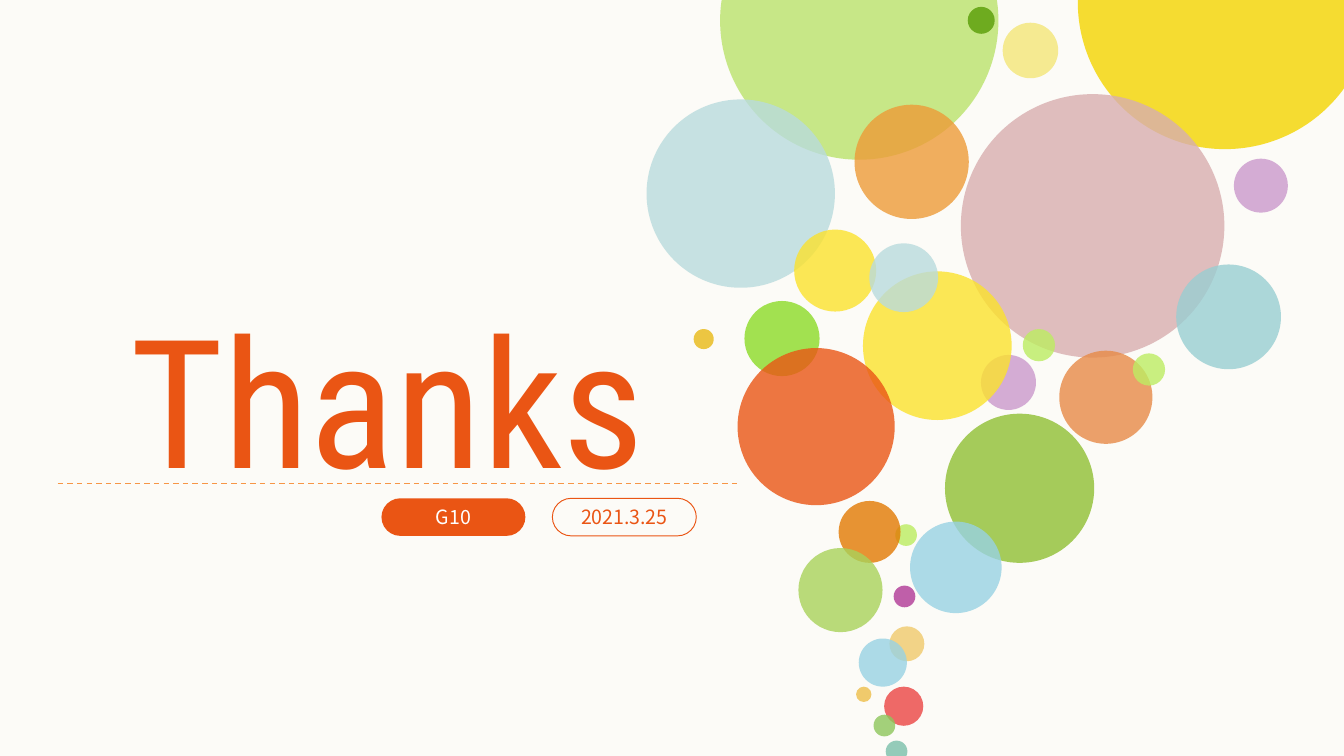
"""Build a closing slide with a column of translucent bubbles."""
from lxml import etree
from pptx import Presentation
from pptx.dml.color import RGBColor
from pptx.enum.dml import MSO_LINE
from pptx.enum.shapes import MSO_CONNECTOR, MSO_SHAPE
from pptx.enum.text import MSO_ANCHOR, MSO_AUTO_SIZE, PP_ALIGN
from pptx.oxml.ns import qn
from pptx.util import Cm, Pt

OVAL, PILL = MSO_SHAPE.OVAL, MSO_SHAPE.ROUNDED_RECTANGLE
STRAIGHT, DASH = MSO_CONNECTOR.STRAIGHT, MSO_LINE.DASH
LEFT, CENTER = PP_ALIGN.LEFT, PP_ALIGN.CENTER
TOP, MIDDLE = MSO_ANCHOR.TOP, MSO_ANCHOR.MIDDLE
GROW = MSO_AUTO_SIZE.SHAPE_TO_FIT_TEXT

ACCENT, WHITE, BACKGROUND, RULE = "EA5514", "FFFFFF", "FCFBF7", "F79646"
TITLE_FONT, LABEL_FONT = "Roboto Condensed", "Noto Sans CJK SC"
OPACITY = 80
TITLE = "Thanks"
TITLE_BOX = (2.46, 5.46, 10.13, 4.11)
RULE_ENDS = (1.09, 9.14, 13.94, 9.14)
PILL_BOX, PILL_PITCH = (7.21, 9.42, 2.72, 0.71), 3.23
LABELS = [("G10", True), ("2021.3.25", False)]
SOLID_BUBBLES = {"6EAB1F", "F5EA91", "A5CB5A", "F0CA6C"}
BUBBLES = [
    (13.61, -2.24, 5.26, "BAE36B", OPACITY),
    (18.29, 0.13, 0.51, "6EAB1F", 100),
    (12.22, 1.88, 3.56, "B9DBDD", OPACITY),
    (16.15, 1.98, 2.16, "ED9B38", OPACITY),
    (18.95, 0.43, 1.05, "F5EA91", 100),
    (20.37, -2.74, 5.56, "F4D500", OPACITY),
    (18.16, 1.78, 4.98, "D8AEAF", OPACITY),
    (22.23, 5.0, 1.98, "99CED2", OPACITY),
    (23.32, 3.0, 1.02, "CB99CC", OPACITY),
    (20.02, 6.63, 1.76, "E78A47", OPACITY),
    (17.86, 7.82, 2.82, "A5CB5A", 100),
    (21.41, 6.68, 0.61, "BDED63", OPACITY),
    (19.33, 6.22, 0.61, "BCED61", OPACITY),
    (18.54, 6.71, 1.04, "CB99CC", OPACITY),
    (16.31, 5.13, 2.81, "FBE22D", OPACITY),
    (15.01, 4.34, 1.55, "FBE22D", OPACITY),
    (14.07, 5.69, 1.42, "8CDB27", OPACITY),
    (13.11, 6.22, 0.38, "E9B915", OPACITY),
    (16.92, 9.91, 0.41, "BCED60", OPACITY),
    (16.89, 11.07, 0.41, "B03896", OPACITY),
    (16.81, 11.84, 0.66, "F0CA6C", OPACITY),
    (16.18, 12.98, 0.29, "F0CA6C", 100),
    (16.74, 14.0, 0.41, "7BBFAA", OPACITY),
    (16.71, 12.98, 0.74, "EB4544", OPACITY),
    (16.51, 13.51, 0.41, "8DC65B", OPACITY),
    (16.23, 12.07, 0.91, "98D2E3", OPACITY),
    (16.43, 4.6, 1.3, "B9DBDD", OPACITY),
    (17.2, 9.86, 1.73, "98D2E3", OPACITY),
    (15.85, 9.47, 1.17, "E27902", OPACITY),
    (15.09, 10.36, 1.59, "A9D25A", OPACITY),
    (13.94, 6.58, 2.97, "EA5514", OPACITY),
]


def paint(fill, color, opacity=100):
    """Fill with a hex colour at a percentage of opacity."""
    fill.solid()
    fill.fore_color.rgb = RGBColor.from_string(color)
    if opacity < 100:
        color_element = fill._xPr.find(qn("a:solidFill"))[0]
        etree.SubElement(color_element, qn("a:alpha"), val=str(opacity * 1000))


def apply(target, values):
    """Set attributes from a dict."""
    for name, value in values.items():
        setattr(target, name, value)


def write(shape, text, color, font, frame, alignment):
    """Write one formatted paragraph into a shape."""
    apply(shape.text_frame, frame)
    paragraph = shape.text_frame.paragraphs[0]
    paragraph.alignment = alignment
    run = paragraph.add_run()
    run.text = text
    apply(run.font, font)
    paint(run.font.fill, color)


def add_title(slide):
    """Place and format the title placeholder."""
    title = slide.shapes.title
    apply(title, dict(zip(("left", "top", "width", "height"), map(Cm, TITLE_BOX))))
    margins = dict.fromkeys(
        ("margin_left", "margin_top", "margin_right", "margin_bottom"), 0)
    frame = {**margins, "word_wrap": False, "auto_size": GROW, "vertical_anchor": TOP}
    write(title, TITLE, ACCENT, {"name": TITLE_FONT, "size": Pt(96)}, frame, LEFT)


def add_bubble(slide, left, top, diameter, color, opacity):
    """Add one circle without an outline."""
    bubble = slide.shapes.add_shape(OVAL, *map(Cm, (left, top, diameter, diameter)))
    bubble.shadow.inherit = False
    bubble.line.fill.background()
    paint(bubble.fill, color, opacity)


def add_rule(slide):
    """Add the dashed line under the title."""
    rule = slide.shapes.add_connector(STRAIGHT, *map(Cm, RULE_ENDS))
    paint(rule.line.fill, RULE)
    apply(rule.line, {"width": Pt(0.75), "dash_style": DASH})
    etree.SubElement(rule._element.spPr, qn("a:effectLst"))


def add_pill(slide, index, text, filled):
    """Add a filled or an outlined label."""
    left, top, width, height = PILL_BOX
    box = (left + index * PILL_PITCH, top, width, height)
    pill = slide.shapes.add_shape(PILL, *map(Cm, box))
    pill.shadow.inherit = False
    pill.adjustments[0] = 0.5
    if filled:
        paint(pill.fill, ACCENT)
        pill.line.fill.background()
    else:
        pill.fill.background()
        paint(pill.line.fill, ACCENT)
        pill.line.width = Pt(0.5)
    write(pill, text, WHITE if filled else ACCENT,
          {"name": LABEL_FONT, "size": Pt(10.5)}, {"vertical_anchor": MIDDLE}, CENTER)


def main():
    """Build and save the slide."""
    presentation = Presentation()
    apply(presentation, {"slide_width": Cm(25.4), "slide_height": Cm(14.29)})
    slide = presentation.slides.add_slide(presentation.slide_layouts[5])
    paint(slide.background.fill, BACKGROUND)
    for bubble in BUBBLES:
        add_bubble(slide, *bubble)
    add_title(slide)
    add_rule(slide)
    for index, (text, filled) in enumerate(LABELS):
        add_pill(slide, index, text, filled)
    presentation.save("out.pptx")


if __name__ == "__main__":
    main()
